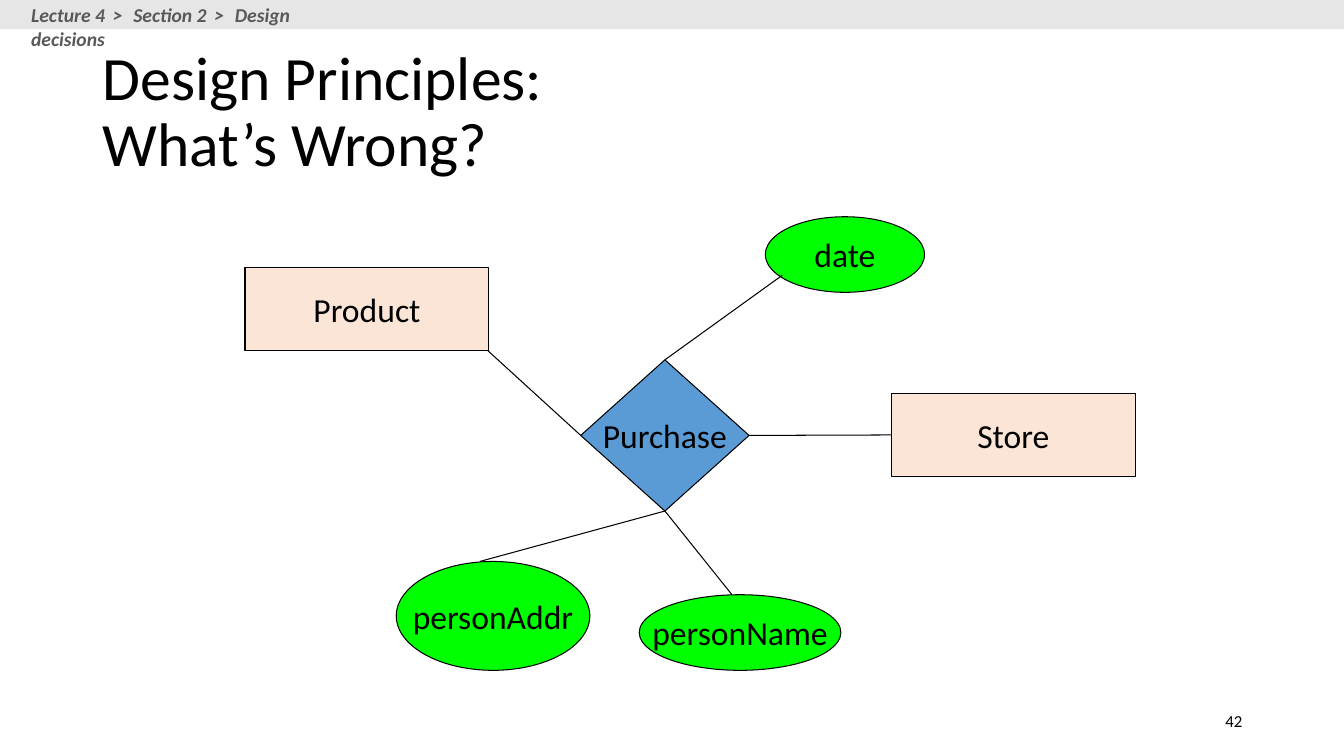
import pptx
import pptx.util
import pptx.dml.color
import pptx.enum.shapes
import pptx.enum.text
import pptx.oxml

RGBColor = pptx.dml.color.RGBColor
BLACK = RGBColor(0, 0, 0)
GRAY = RGBColor(0x59, 0x59, 0x59)
SILVER = RGBColor(0xE7, 0xE6, 0xE6)
BLUE = RGBColor(0x5B, 0x9B, 0xD5)
PEACH = RGBColor(0xFB, 0xE5, 0xD6)
GREEN = RGBColor(0, 0xFF, 0)

Kind = pptx.enum.shapes.MSO_SHAPE
Align = pptx.enum.text.PP_ALIGN
Anchor = pptx.enum.text.MSO_ANCHOR
SCALE = 9144

TITLE = "Design Principles:\vWhat’s Wrong?"
CRUMBS = ["Lecture 4", "Section 2", "Design decisions"]
PAGE = "42"
STYLES = {
    "relation": (Kind.DIAMOND, BLUE),
    "entity": (Kind.RECTANGLE, PEACH),
    "field": (Kind.OVAL, GREEN),
}
NODES = [
    ("Purchase", "relation", (576, 357, 167, 150)),
    ("Product", "entity", (243, 265, 242, 83)),
    ("Store", "entity", (884, 390, 242, 83)),
    ("date", "field", (759, 215, 158, 75)),
    ("personName", "field", (634, 590, 200, 75)),
    ("personAddr", "field", (393, 557, 192, 108)),
]
LINKS = [
    (3, (884, 432), "Store"),
    (0, (776, 273), None),
    (2, (726, 590), None),
    (1, (484, 348), None),
    (2, (476, 557), None),
]


def px(*sizes):
    return [pptx.util.Emu(size * SCALE) for size in sizes]


def write(shape, text, size=24, color=BLACK, bold=False, italic=False,
          align=Align.LEFT, anchor=Anchor.MIDDLE, wrap=True, lead=None):
    frame = shape.text_frame
    frame.auto_size = pptx.enum.text.MSO_AUTO_SIZE.NONE
    frame.word_wrap = wrap
    frame.vertical_anchor = anchor
    para = frame.paragraphs[0]
    para.alignment = align
    para.line_spacing = lead
    if isinstance(text, str):
        para.text = text
    else:
        for part in text:
            para.add_run().text = part
    for run in para.runs:
        font = run.font
        font.name, font.size = "Calibri", pptx.util.Pt(size)
        font.bold, font.italic = bold, italic
        font.color.rgb = color
    return para


def draw(slide, kind, box, fill):
    shape = slide.shapes.add_shape(kind, *px(*box))
    shape.shadow.inherit = False
    shape.fill.solid()
    shape.fill.fore_color.rgb = fill
    return shape


def edge(line):
    line.color.rgb = BLACK
    line.width = pptx.util.Pt(0.75)


def main():
    deck = pptx.Presentation()
    deck.slide_width, deck.slide_height = px(1333, 750)
    slide = deck.slides.add_slide(deck.slide_layouts[5])

    title = slide.shapes.title
    title.left, title.top, title.width, title.height = px(92, 40, 1150, 145)
    write(title, TITLE, size=44, lead=0.9)

    page = slide.shapes.add_textbox(*px(942, 695, 300, 40))
    write(page, PAGE, size=12, align=Align.RIGHT)

    nodes = {}
    for name, style, box in NODES:
        kind, fill = STYLES[style]
        node = nodes[name] = draw(slide, kind, box, fill)
        edge(node.line)
        write(node, name, align=Align.CENTER, wrap=False)

    for site, end, goal in LINKS:
        link = slide.shapes.add_connector(
            pptx.enum.shapes.MSO_CONNECTOR.STRAIGHT, *px(0, 0, *end))
        link.begin_connect(nodes["Purchase"], site)
        if goal:
            link.end_connect(nodes[goal], 1)
        edge(link.line)
        props = link._element.spPr
        props.append(props.makeelement(pptx.oxml.ns.qn("a:effectLst"), {}))

    bar = draw(slide, Kind.RECTANGLE, (0, 0, 1333, 29), SILVER)
    bar.line.fill.background()
    trail = slide.shapes.add_textbox(*px(21, -2, 348, 34))
    parts = [CRUMBS[0]]
    for crumb in CRUMBS[1:]:
        parts += [" > ", crumb]
    para = write(trail, parts, size=14, color=GRAY, bold=True, italic=True,
                 anchor=Anchor.TOP)
    for run in para.runs[1::2]:
        run._r.get_or_add_rPr().set("spc", "220")

    deck.save("out.pptx")


if __name__ == "__main__":
    main()
